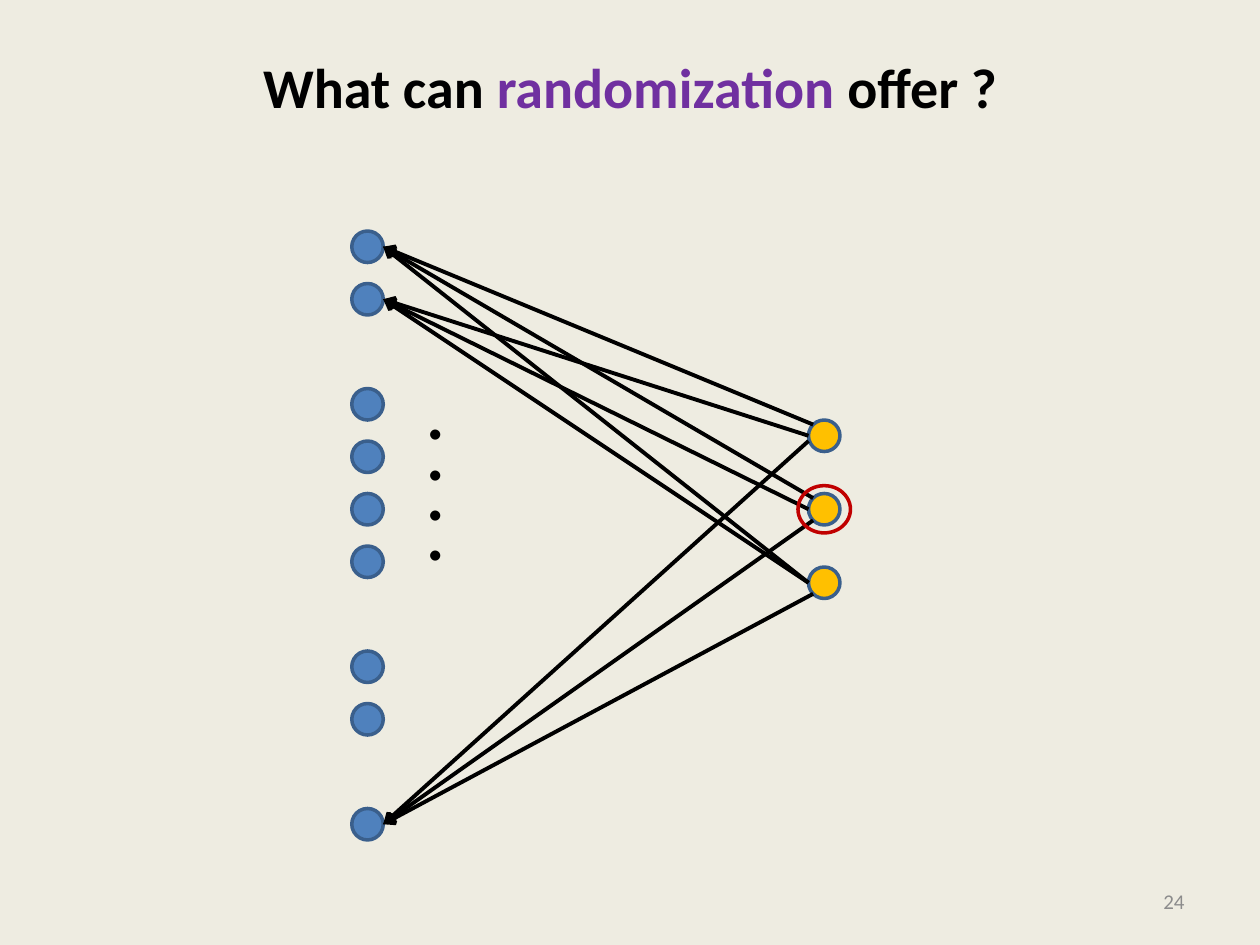
import pptx
import pptx.util
import pptx.dml.color
import pptx.enum.shapes
import pptx.enum.text
import pptx.oxml.ns
from lxml import etree

Pt = pptx.util.Pt
RGB = pptx.dml.color.RGBColor
Anchor = pptx.enum.text.MSO_ANCHOR
Align = pptx.enum.text.PP_ALIGN

PAPER = RGB(0xEE, 0xEC, 0xE1)
BLACK = RGB(0, 0, 0)
PURPLE = RGB(0x70, 0x30, 0xA0)
GRAY = RGB(0x8C, 0x8C, 0x8C)
BLUE = RGB(0x4F, 0x81, 0xBD)
EDGE = RGB(0x3A, 0x5F, 0x8C)
GOLD = RGB(0xFF, 0xC0, 0x00)
RED = RGB(0xC0, 0, 0)

TITLE = [("What can ", BLACK), ("randomization", PURPLE), (" offer ?", BLACK)]
NUMBER = [("24", GRAY)]
DOTS = [(". . . .", BLACK)]

SIZE = 18
LEFT, RIGHT = 210, 471
TOP, STEP = 141, 30
ROWS = [0, 1, 3, 4, 5, 6, 8, 9, 11]
GOLDS = [249, 291, 333]
SIDE, DIAG = -9, -6.36
LINKS = [
    (0, DIAG, DIAG, 0), (0, SIDE, 0, 1), (0, SIDE, 3, 11),
    (1, DIAG, DIAG, 0), (1, SIDE, 0, 1), (1, DIAG, -DIAG, 11),
    (2, SIDE, 0, 1), (2, SIDE, 0, 0), (2, DIAG, -DIAG, 11),
]


def row_y(row):
    return TOP + STEP * row


def add_text(slide, box, runs, size, align, bold=False):
    shape = slide.shapes.add_textbox(*map(Pt, box))
    frame = shape.text_frame
    frame.word_wrap = True
    frame.vertical_anchor = Anchor.MIDDLE
    para = frame.paragraphs[0]
    para.alignment = align
    for text, color in runs:
        run = para.add_run()
        run.text = text
        run.font.name = "Calibri"
        run.font.size = Pt(size)
        run.font.bold = bold
        run.font.color.rgb = color
    return shape


def add_oval(slide, x, y, wide, high, fill, line):
    oval = slide.shapes.add_shape(
        pptx.enum.shapes.MSO_SHAPE.OVAL,
        Pt(x - wide / 2), Pt(y - high / 2), Pt(wide), Pt(high))
    oval.shadow.inherit = False
    if fill is None:
        oval.fill.background()
    else:
        oval.fill.solid()
        oval.fill.fore_color.rgb = fill
    oval.line.color.rgb = line
    oval.line.width = Pt(2)


def add_arrow(slide, *ends):
    link = slide.shapes.add_connector(
        pptx.enum.shapes.MSO_CONNECTOR.STRAIGHT, *map(Pt, ends))
    link.line.color.rgb = BLACK
    link.line.width = Pt(2.25)
    qn = pptx.oxml.ns.qn
    etree.SubElement(link.line._get_or_add_ln(), qn("a:tailEnd"), type="arrow")
    etree.SubElement(link._element.spPr, qn("a:effectLst"))


def main():
    deck = pptx.Presentation()
    deck.slide_width, deck.slide_height = Pt(720), Pt(540)
    slide = deck.slides.add_slide(deck.slide_layouts[6])
    slide.background.fill.solid()
    slide.background.fill.fore_color.rgb = PAPER

    title = add_text(slide, (36, 21.6, 648, 90), TITLE, 32, Align.CENTER, True)
    title.text_frame.vertical_anchor = Anchor.TOP
    title.text_frame.margin_top = Pt(8.4)
    add_text(slide, (516, 500.5, 168, 28.75), NUMBER, 12, Align.RIGHT)

    for row in ROWS:
        add_oval(slide, LEFT, row_y(row), SIZE, SIZE, BLUE, EDGE)
    for y in GOLDS:
        add_oval(slide, RIGHT, y, SIZE, SIZE, GOLD, EDGE)
    for gold, dx, dy, row in LINKS:
        add_arrow(slide, RIGHT + dx, GOLDS[gold] + dy,
                  LEFT + SIZE / 2, row_y(row))

    dots = add_text(slide, (216.75, 251.25, 96.5, 65.5), DOTS, 48, Align.LEFT)
    dots.text_frame.word_wrap = False
    dots.text_frame.vertical_anchor = Anchor.TOP
    dots.text_frame.auto_size = pptx.enum.text.MSO_AUTO_SIZE.SHAPE_TO_FIT_TEXT
    dots.rotation = 90
    add_oval(slide, RIGHT, GOLDS[1], 30, 27, None, RED)

    deck.save("out.pptx")


if __name__ == "__main__":
    main()
